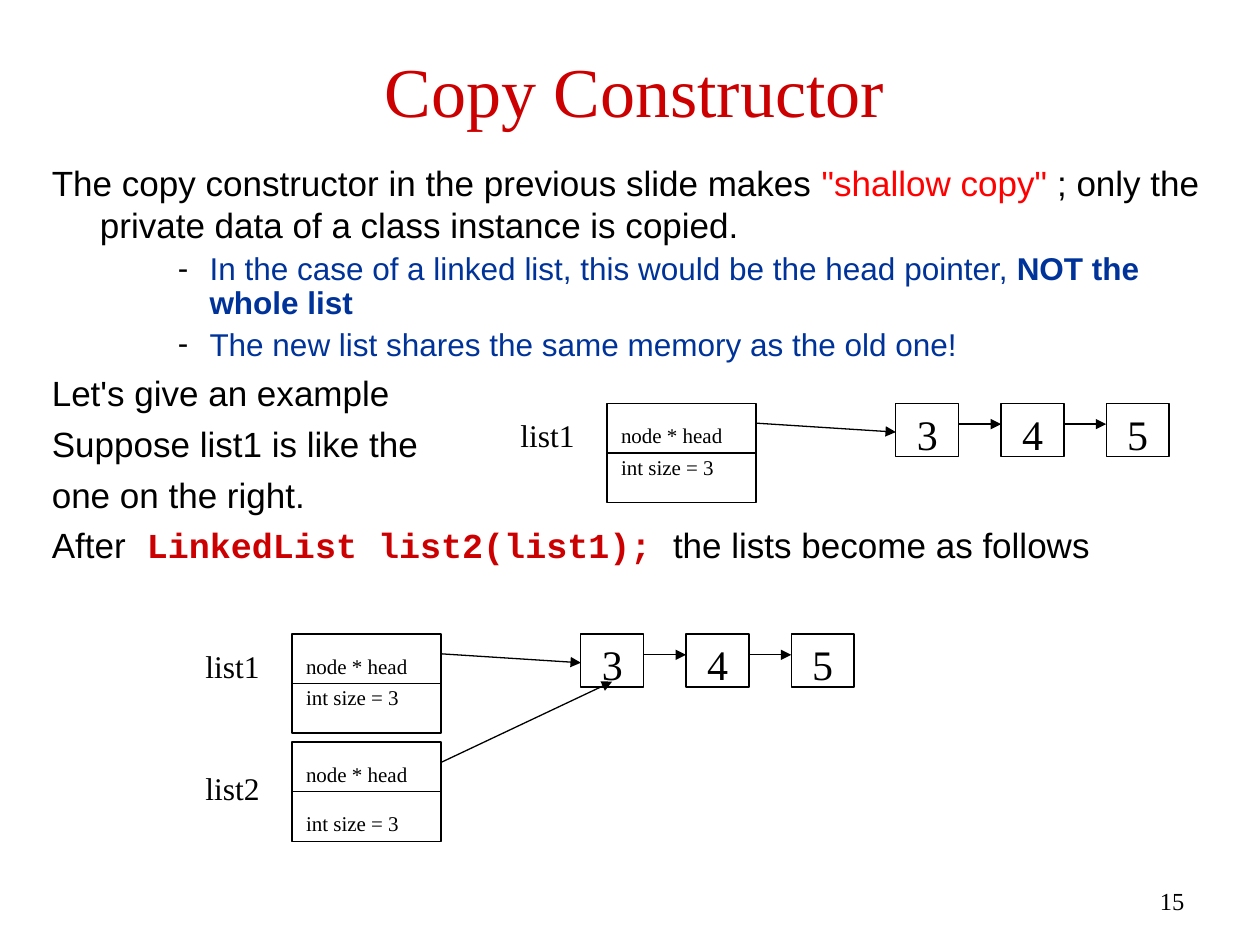
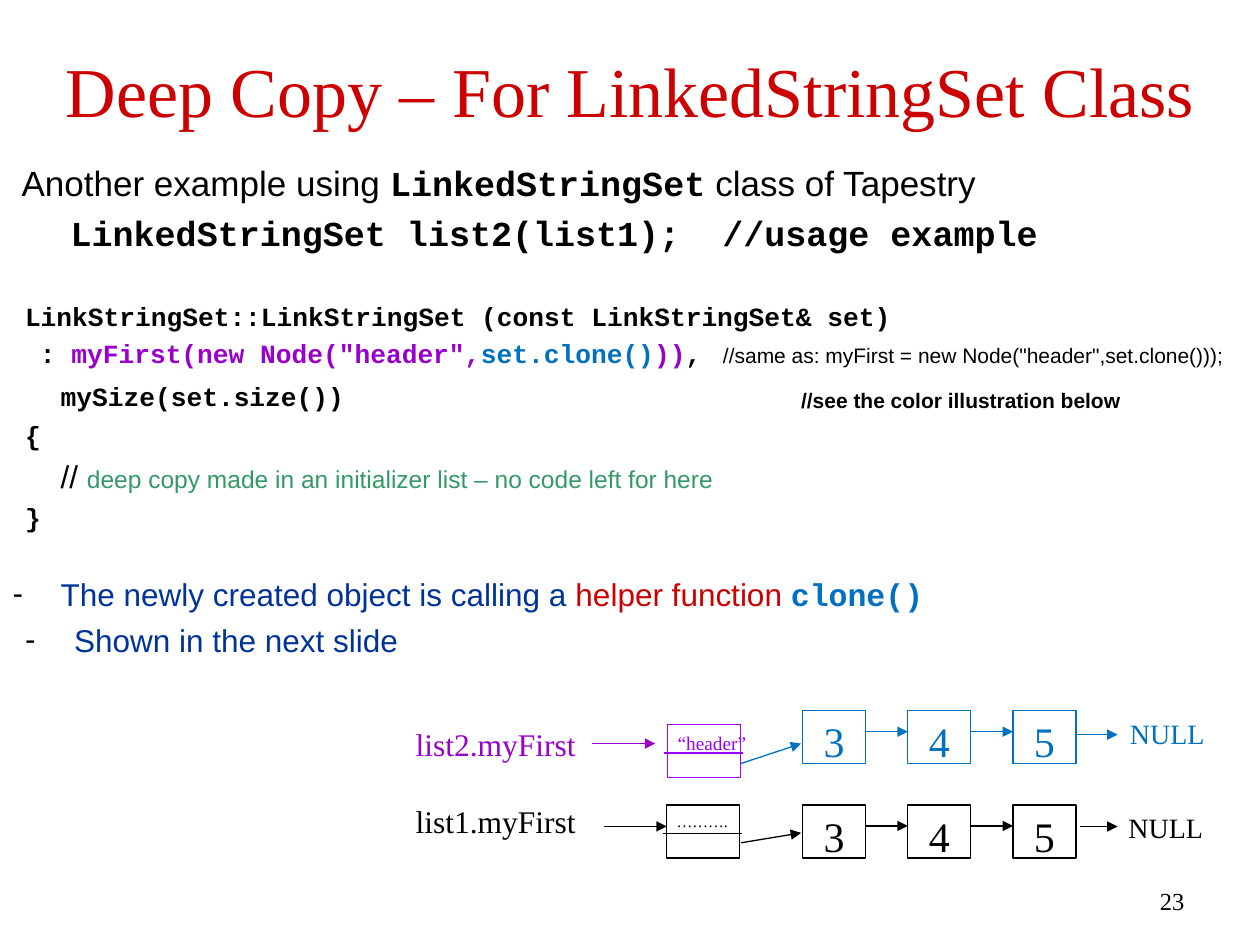
from dataclasses import dataclass

from lxml import etree
from pptx import Presentation
from pptx import util as u
from pptx.dml.color import RGBColor
from pptx.enum import shapes, text
from pptx.oxml import ns


# Theme: every colour, font and type size
@dataclass(frozen=True)
class Theme:
    black: str = "000000"
    red: str = "CC0000"
    bright_red: str = "FF0000"
    navy: str = "003399"
    blue: str = "0070C0"
    purple: str = "9900CC"
    violet: str = "9900FF"
    green: str = "339966"
    sans: str = "Arial"
    serif: str = "Times New Roman"
    mono: str = "Courier New"
    title: int = 40
    value: int = 24
    body: int = 20
    point: int = 18
    null: int = 16
    code: int = 15
    note: int = 14
    field: int = 12
    header: int = 11
    dots: int = 9
    line: float = 0.75


T = Theme()
RECORD_W, RECORD_H = 3.0, 2.0
CELL_W, CELL_H, CELL_PITCH = 1.27, 1.07, 2.12
CHAIN_OFFSET = 5.82
HEADER_W = 1.47


# Text
def write(paragraph, words, font=T.sans, size=T.body, color=T.black, bold=False):
    run = paragraph.add_run()
    run.text = words
    run.font.name = font
    run.font.size = u.Pt(size)
    run.font.bold = bold
    run.font.color.rgb = RGBColor.from_string(color)


def next_paragraph(frame):
    first = frame.paragraphs[0]
    return frame.add_paragraph() if first.runs else first


def add_line(frame, *runs, margin=0.97, indent=0.0, before=5, level=0,
             spacing=1.0, bullet=None):
    """Add a body paragraph made of (words, format) runs."""
    paragraph = next_paragraph(frame)
    paragraph.level = level
    paragraph.space_before = u.Pt(before)
    paragraph.line_spacing = spacing
    for words, style in runs:
        write(paragraph, words, **style)
    props = paragraph._p.get_or_add_pPr()
    props.set("marL", str(u.Cm(margin)))
    props.set("indent", str(u.Cm(indent)))
    if bullet:
        tint = etree.SubElement(props, ns.qn("a:buClr"))
        etree.SubElement(tint, ns.qn("a:srgbClr")).set("val", T.black)
        etree.SubElement(props, ns.qn("a:buChar")).set("char", bullet)
    else:
        etree.SubElement(props, ns.qn("a:buNone"))


def place(holder, left, top, width, height):
    holder.left, holder.top = u.Cm(left), u.Cm(top)
    holder.width, holder.height = u.Cm(width), u.Cm(height)
    holder.text_frame.word_wrap = True
    holder.text_frame.auto_size = text.MSO_AUTO_SIZE.NONE
    return holder.text_frame


def add_label(slide, words, left, top, width, height=1.0,
              align=text.PP_ALIGN.LEFT, gap=0, **style):
    """Add a text box; each line of words becomes a paragraph."""
    box = slide.shapes.add_textbox(0, 0, 0, 0)
    frame = place(box, left, top, width, height)
    for number, line in enumerate(words.split("\n")):
        paragraph = next_paragraph(frame)
        paragraph.alignment = align
        paragraph.space_before = u.Pt(gap if number else 0)
        write(paragraph, line, **{"font": T.serif, **style})


def add_page(deck, heading, number, left, width):
    """Add a slide with title and page number; return it and its body frame."""
    slide = deck.slides.add_slide(deck.slide_layouts[1])
    title = place(slide.shapes.title, left, 0.43, width, 2.74)
    title.vertical_anchor = text.MSO_ANCHOR.MIDDLE
    title.paragraphs[0].alignment = text.PP_ALIGN.CENTER
    write(title.paragraphs[0], heading, font=T.serif, size=T.title, color=T.red)
    add_label(slide, number, 18.85, 17.73, 5.28, 1.27,
              align=text.PP_ALIGN.RIGHT, size=T.note)
    return slide, slide.placeholders[1]


# Diagram parts
def add_box(slide, left, top, width, height, color):
    box = slide.shapes.add_shape(shapes.MSO_SHAPE.RECTANGLE, u.Cm(left),
                                 u.Cm(top), u.Cm(width), u.Cm(height))
    box.shadow.inherit = False
    box.fill.background()
    box.line.color.rgb = RGBColor.from_string(color)
    box.line.width = u.Pt(T.line)
    return box


def add_rule(slide, start, end, color=T.black, arrow=True):
    rule = slide.shapes.add_connector(
        shapes.MSO_CONNECTOR.STRAIGHT, *(u.Cm(v) for v in (*start, *end)))
    rule.line.color.rgb = RGBColor.from_string(color)
    rule.line.width = u.Pt(T.line)
    if arrow:
        head = etree.SubElement(rule.line._get_or_add_ln(), ns.qn("a:tailEnd"))
        head.set("type", "triangle")
    etree.SubElement(rule._element.spPr, ns.qn("a:effectLst"))


def add_chain(slide, left, top, color=T.black):
    """Three linked cells holding 3, 4 and 5."""
    for index, value in enumerate("345"):
        x = left + index * CELL_PITCH
        cell = add_box(slide, x, top, CELL_W, CELL_H, color)
        frame = cell.text_frame
        frame.margin_left = frame.margin_right = 0
        frame.margin_top = u.Cm(0.15)
        frame.margin_bottom = 0
        frame.vertical_anchor = text.MSO_ANCHOR.MIDDLE
        frame.paragraphs[0].alignment = text.PP_ALIGN.CENTER
        write(frame.paragraphs[0], value, font=T.serif, size=T.value, color=color)
        if index:
            y = top + 0.42
            add_rule(slide, (x - CELL_PITCH + CELL_W, y), (x, y), color)


def add_record(slide, name, left, top, name_drop=0.13, gap=3.45):
    """A list object: its name, head pointer and size."""
    add_box(slide, left, top, RECORD_W, RECORD_H, T.black)
    add_label(slide, "node * head\nint size = 3", left + 0.03, top + 0.27,
              RECORD_W, 1.4, gap=gap, size=T.field)
    add_rule(slide, (left, top + 1), (left + RECORD_W, top + 1), arrow=False)
    add_label(slide, name, left - 2, top + name_drop, 2, size=T.point)


def add_linked_list(slide, name, left, top):
    add_record(slide, name, left, top)
    add_chain(slide, left + CHAIN_OFFSET, top)
    add_rule(slide, (left + RECORD_W, top + 0.4),
             (left + CHAIN_OFFSET, top + 0.58))


def add_header_node(slide, words, left, top, size, color):
    add_box(slide, left, top, HEADER_W, CELL_H, color)
    add_label(slide, words, left - 0.05, top, 2.1, 0.7, size=size, color=color)
    add_rule(slide, (left - 0.08, top + 0.57), (left + 1.52, top + 0.57),
             color, arrow=False)


# Slides
def build_shallow_copy(deck):
    slide, holder = add_page(deck, "Copy Constructor", "15", 0.58, 24.41)
    body = place(holder, 0.79, 3.12, 24.21, 14.6)
    hanging = dict(margin=0.97, indent=-0.97)
    dashed = dict(margin=3.18, indent=-0.64, before=4.5, level=2,
                  spacing=0.9, bullet="-")
    point = dict(size=T.point, color=T.navy)

    add_line(body, ("The copy constructor in the previous slide makes ", {}),
             ('"shallow copy"', dict(color=T.bright_red)),
             (" ; only the private data of a class instance is copied.", {}),
             **hanging)
    add_line(body, ("In the case of a linked list, this would be the head pointer, ",
                    point),
             ("NOT the whole list", dict(point, bold=True)), **dashed)
    add_line(body, ("The new list shares the same memory as the old one!", point),
             **dashed)
    for sentence in ("Let's give an example", "Suppose list1 is like the",
                     "one on the right."):
        add_line(body, (sentence, {}), **hanging)
    add_line(body, ("After", {}),
             (" LinkedList list2(list1); ",
              dict(font=T.mono, color=T.red, bold=True)),
             ("the lists become as follows", {}), **hanging)

    # Before the copy, then after it with the shared cells
    add_linked_list(slide, "list1", 12.24, 8.13)
    add_linked_list(slide, "list1", 5.89, 12.78)
    add_record(slide, "list2", 5.89, 14.96, name_drop=0.41, gap=13.8)
    add_rule(slide, (8.89, 15.37), (12.34, 13.74))


def build_deep_copy(deck):
    slide, holder = add_page(deck, "Deep Copy – For LinkedStringSet Class", "23",
                             0, 25.4)
    body = place(holder, 0, 3.12, 25.4, 14.6)
    usage = dict(font=T.mono, bold=True)
    code = dict(usage, size=T.code)
    point = dict(size=T.point, color=T.navy)

    # Usage
    add_line(body, ("Another example using ", {}), ("LinkedStringSet", usage),
             (" class of Tapestry", {}), margin=0.18)
    add_line(body, ("LinkedStringSet list2(list1);  //usage example", usage),
             margin=1.17)

    # Constructor code
    add_line(body, ("LinkStringSet::LinkStringSet (const LinkStringSet& set)", code),
             margin=0.25, before=26.7, level=1)
    add_line(body, (": ", code),
             ('myFirst(new Node("header",', dict(code, color=T.purple)),
             ("set.clone()", dict(code, color=T.blue)),
             ("))", dict(code, color=T.purple)), (", ", code),
             (' //same as: myFirst = new Node("header",set.clone()));',
              dict(size=T.field)), margin=0.55, before=3, level=1)
    add_line(body, ("mySize(set.size())", code), margin=0.97, before=6.5, level=1)
    add_label(slide, "//see the color illustration below", 15.9, 7.68, 8,
              font=T.sans, size=T.field, bold=True)
    add_line(body, ("{", code), margin=0.25, before=4.5, level=1)
    add_line(body, ("// ", dict(size=T.point)),
             ("deep copy made in an initializer list – no code left for here",
              dict(size=T.note, color=T.green)), before=3.5, level=1)
    add_line(body, ("}", code), margin=0.25, before=3.7, level=1)

    # Remarks
    add_line(body, ("The newly created object is calling a ", point),
             ("helper function ", dict(point, color=T.red)),
             ("clone()", dict(usage, size=T.point, color=T.blue)),
             indent=-0.97, before=24.1, bullet="-")
    add_line(body, ("Shown in the next slide", point), margin=1.24, indent=-0.99,
             before=4.5, level=1, bullet="-")

    # The new list
    add_label(slide, "list2.myFirst", 8.13, 14.5, 4, size=T.point, color=T.purple)
    add_rule(slide, (11.94, 14.99), (13.21, 14.99), T.purple)
    add_header_node(slide, "“header”", 13.46, 14.61, T.header, T.violet)
    add_rule(slide, (14.94, 15.39), (16.15, 14.99), T.blue)
    add_chain(slide, 16.18, 14.33, T.blue)
    add_rule(slide, (21.69, 14.81), (22.53, 14.81), T.blue)
    add_label(slide, "NULL", 22.53, 14.33, 2.21, size=T.null, color=T.blue)

    # The list it was made from
    add_label(slide, "list1.myFirst", 8.13, 16.05, 4, size=T.point)
    add_rule(slide, (12.17, 16.66), (13.44, 16.66))
    add_header_node(slide, "……….", 13.44, 16.23, T.dots, T.black)
    add_rule(slide, (14.94, 16.99), (16.15, 16.79))
    add_chain(slide, 16.18, 16.23)
    add_rule(slide, (21.77, 16.66), (22.53, 16.66))
    add_label(slide, "NULL", 22.5, 16.21, 2.21, size=T.null)


def main():
    deck = Presentation()
    deck.slide_width, deck.slide_height = u.Cm(25.4), u.Cm(19.05)
    build_shallow_copy(deck)
    build_deep_copy(deck)
    deck.save("out.pptx")


if __name__ == "__main__":
    main()
